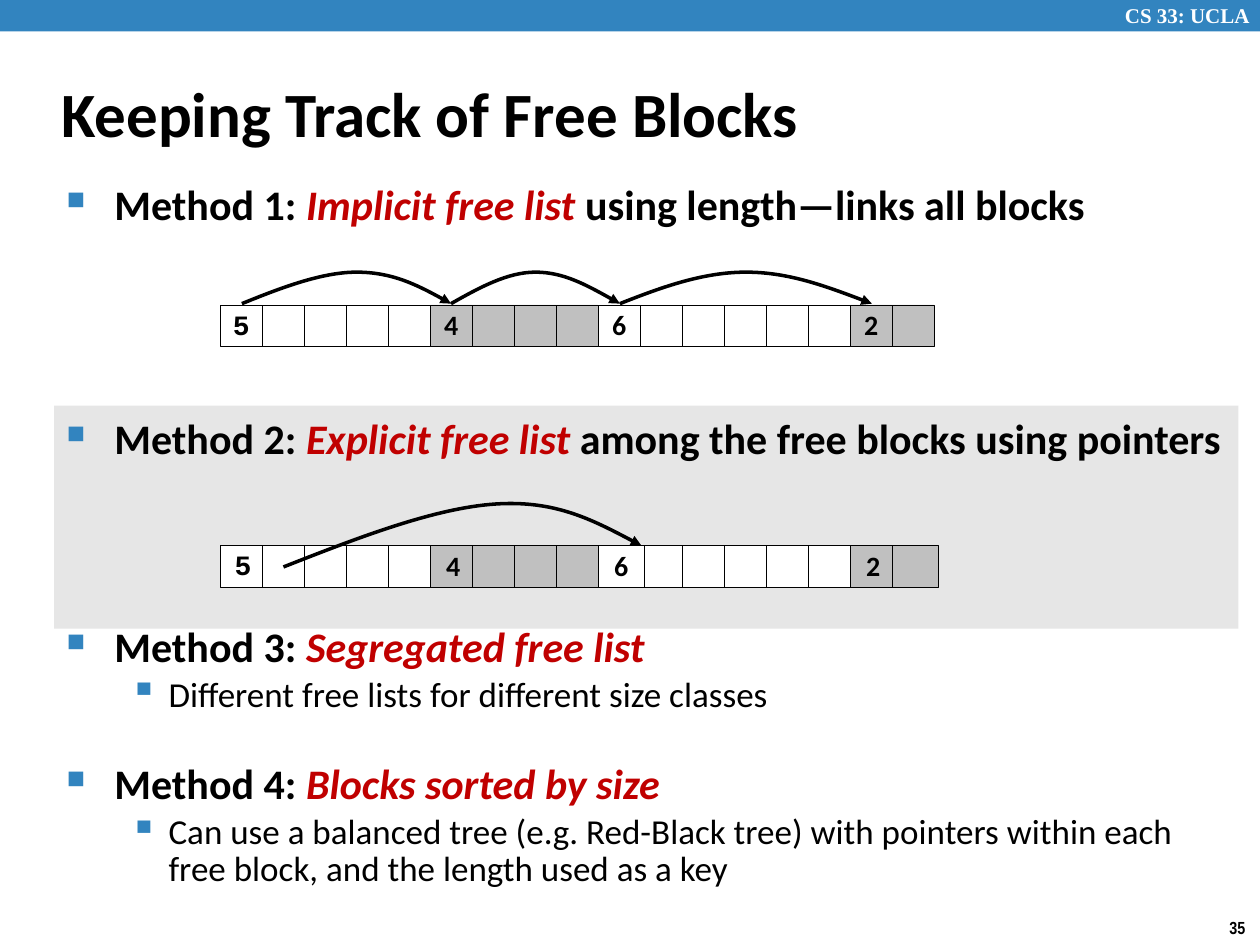
from lxml import etree
from pptx import Presentation
from pptx.dml.color import RGBColor
from pptx.enum.shapes import MSO_SHAPE
from pptx.enum.text import MSO_ANCHOR, PP_ALIGN
from pptx.oxml import parse_xml
from pptx.oxml.ns import nsdecls, qn
from pptx.util import Inches, Pt

BLACK = RGBColor(0x00, 0x00, 0x00)
WHITE = RGBColor(0xFF, 0xFF, 0xFF)
BLUE = RGBColor(0x32, 0x84, 0xBF)
RED = RGBColor(0xC0, 0x00, 0x00)
PANEL_GRAY = RGBColor(0xE6, 0xE6, 0xE6)
BLOCK_GRAY = RGBColor(0xC0, 0xC0, 0xC0)


def add_text(paragraph, text, size=24, font="Calibri", color=BLACK, bold=True, italic=False):
    run = paragraph.add_run()
    run.text = text
    run.font.size = Pt(size)
    run.font.name = font
    run.font.color.rgb = color
    run.font.bold = bold
    run.font.italic = italic


def add_rectangle(left, top, width, height, fill, outlined=False):
    shape = slide.shapes.add_shape(
        MSO_SHAPE.RECTANGLE, Inches(left), Inches(top), Inches(width), Inches(height))
    shape.shadow.inherit = False
    shape.fill.solid()
    shape.fill.fore_color.rgb = fill
    if outlined:
        shape.line.color.rgb = BLACK
        shape.line.width = Pt(0.25)
    else:
        shape.line.fill.background()
    return shape


presentation = Presentation()
presentation.slide_width = Inches(10)
presentation.slide_height = Inches(7.5)
slide = presentation.slides.add_slide(presentation.slide_layouts[6])

# Header bar and the panel behind method 2
add_rectangle(0, 0, 10, 0.25, BLUE)
add_rectangle(0.43, 3.22, 9.4, 1.77, PANEL_GRAY)

# Course name, slide number and title
labels = [
    (8.83, -0.03, 1.24, 0.3, "CS 33: UCLA", dict(size=12, font="Times New Roman", color=WHITE)),
    (9.66, 7.23, 0.34, 0.27, "35", dict(size=10, font="Arial Narrow")),
    (0.39, 0.48, 8.3, 0.83, "Keeping Track of Free Blocks", dict(size=36)),
]
for left, top, width, height, text, text_format in labels:
    box = slide.shapes.add_textbox(Inches(left), Inches(top), Inches(width), Inches(height))
    box.text_frame.word_wrap = text != "35"
    box.text_frame.vertical_anchor = MSO_ANCHOR.MIDDLE
    add_text(box.text_frame.paragraphs[0], text, **text_format)

# Methods: level, space before, line spacing, runs
emphasis = dict(color=RED, italic=True)
detail = dict(size=20, bold=False)
methods = [
    (0, 0, 1, [("Method 1: ", {}), ("Implicit free list ", emphasis),
               ("using length—links all blocks", {})]),
    (0, 104.5, 1, [("Method 2: ", {}), ("Explicit free list ", emphasis),
                   ("among the free blocks using pointers", {})]),
    (0, 95, 0.83, [("Method 3: ", {}), ("Segregated free list", emphasis)]),
    (1, 4, 0.88, [("Different free lists for different size classes", detail)]),
    (0, 29.5, 0.83, [("Method 4: ", {}), ("Blocks sorted by size", emphasis)]),
    (1, 4, 0.88, [("Can use a balanced tree (e.g. Red-Black tree) with pointers within each "
                   "free block, and the length used as a key", detail)]),
]
# Bullet by level: left margin, hanging indent, size, character
bullets = [(0.38, 0.38, 60, "■"), (0.81, 0.31, 110, "▪")]

body = slide.shapes.add_textbox(Inches(0.43), Inches(1.37), Inches(9.4), Inches(5.88)).text_frame
body.word_wrap = True
for number, (level, space_before, line_spacing, runs) in enumerate(methods):
    paragraph = body.add_paragraph() if number else body.paragraphs[0]
    margin, hanging, bullet_size, character = bullets[level]
    properties = paragraph._p.get_or_add_pPr()
    properties.set("marL", str(Inches(margin)))
    properties.set("indent", str(-Inches(hanging)))
    for element in (
        f'<a:buClr {nsdecls("a")}><a:srgbClr val="{BLUE}"/></a:buClr>',
        f'<a:buSzPct {nsdecls("a")} val="{bullet_size * 1000}"/>',
        f'<a:buChar {nsdecls("a")} char="{character}"/>',
    ):
        properties.append(parse_xml(element))
    paragraph.level = level
    paragraph.line_spacing = line_spacing
    if number:
        paragraph.space_before = Pt(space_before)
    for text, text_format in runs:
        add_text(paragraph, text, **text_format)

# Memory rows: the first cell of each block holds its length
CELL = 1 / 3
block_sizes = {0: "5", 5: "4", 9: "6", 15: "2"}
allocated = {5, 6, 7, 8, 15, 16}
for row_top, cell_width in ((2.42, 0.33), (4.33, 0.36)):
    # The head of the third block lies on top of its neighbours
    for index in sorted(range(17), key=lambda position: position == 9):
        fill = BLOCK_GRAY if index in allocated else WHITE
        cell = add_rectangle(1.75 + index * CELL, row_top, cell_width, 0.33, fill, outlined=True)
        if index in block_sizes:
            cell.text_frame.word_wrap = False
            cell.text_frame.vertical_anchor = MSO_ANCHOR.MIDDLE
            paragraph = cell.text_frame.paragraphs[0]
            paragraph.alignment = PP_ALIGN.CENTER
            paragraph.line_spacing = 0.98 if index else 0.94
            add_text(paragraph, block_sizes[index], size=16,
                     font="Calibri" if index else "Courier New")

# Curved arrows: start point, then the points of two Bezier segments
arc_heights = (2.41, 2.28, 2.16, 2.16, 2.16, 2.28, 2.41)
arrows = [list(zip(positions, arc_heights)) for positions in (
    (1.92, 2.24, 2.56, 2.83, 3.11, 3.35, 3.58),
    (3.58, 3.81, 4.03, 4.25, 4.47, 4.69, 4.92),
    (4.92, 5.25, 5.58, 5.92, 6.25, 6.58, 6.92),
)]
arrows.append([(2.25, 4.5), (2.86, 4.26), (3.46, 4.03), (3.94, 4),
               (4.41, 3.97), (4.75, 4.15), (5.09, 4.33)])
for points in arrows:
    start, *rest = [(Inches(x), Inches(y)) for x, y in points]
    builder = slide.shapes.build_freeform(*start)
    builder.add_line_segments(rest, close=False)
    arrow = builder.convert_to_shape()
    arrow.shadow.inherit = False
    arrow.fill.background()
    arrow.line.color.rgb = BLACK
    arrow.line.width = Pt(2)
    etree.SubElement(arrow.line._get_or_add_ln(), qn("a:tailEnd"), type="triangle")
    # Join each three straight steps into one Bezier segment
    outline = next(arrow._element.iter(qn("a:path")))
    steps = outline.findall(qn("a:lnTo"))
    for first in range(0, len(steps), 3):
        curve = etree.SubElement(outline, qn("a:cubicBezTo"))
        for step in steps[first:first + 3]:
            curve.append(step[0])
            outline.remove(step)

presentation.save("out.pptx")
